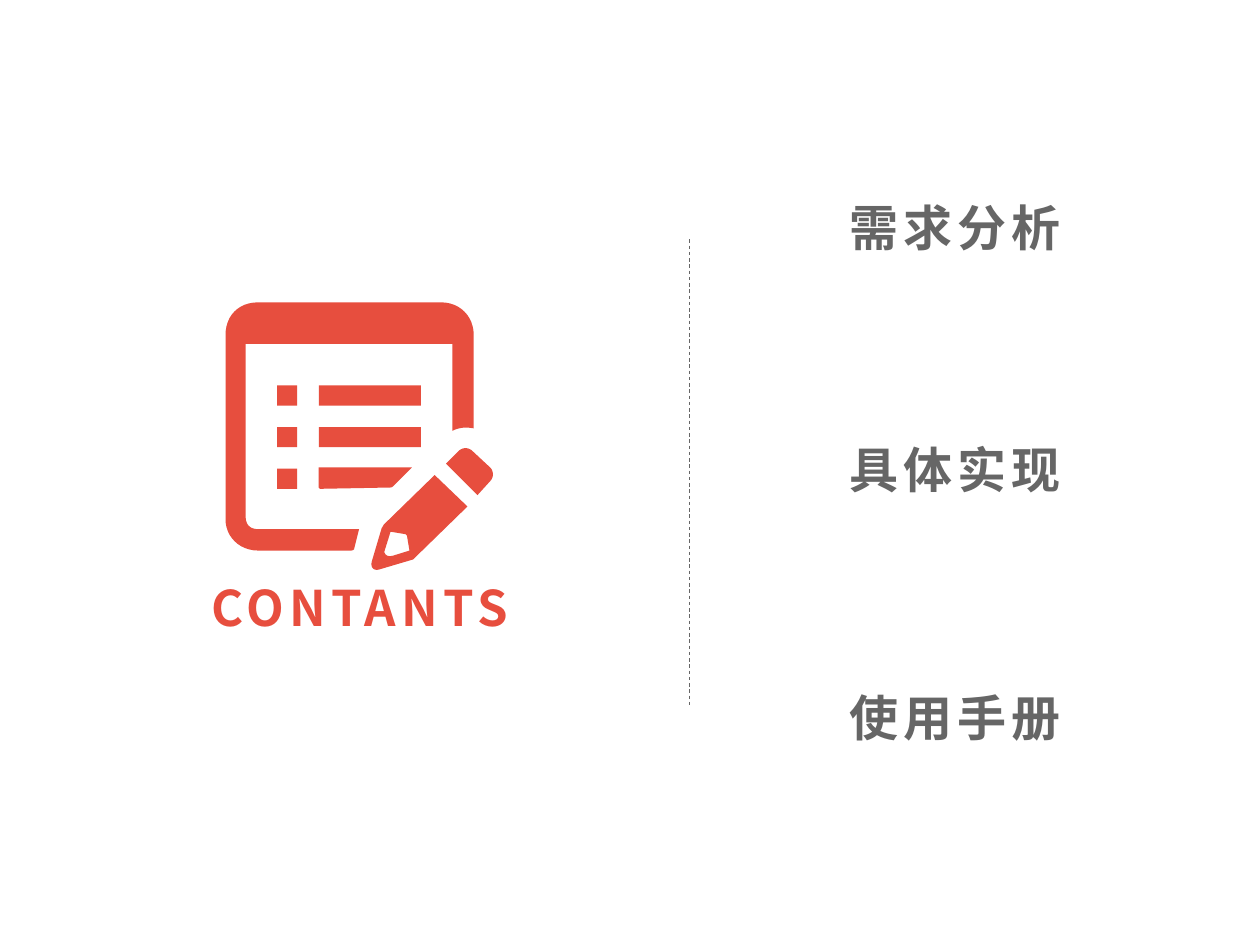
from dataclasses import dataclass

from lxml.etree import SubElement
from pptx import Presentation
from pptx.dml.color import RGBColor
from pptx.enum.dml import MSO_LINE
from pptx.enum.shapes import MSO_CONNECTOR, MSO_SHAPE
from pptx.enum.text import MSO_ANCHOR, MSO_AUTO_SIZE, PP_ALIGN
from pptx.oxml.ns import qn
from pptx.util import Inches, Pt

RED = RGBColor(0xE7, 0x4E, 0x3E)
GRAY = RGBColor(0x66, 0x66, 0x66)
FONT = "Noto Sans CJK SC"
CURVE_STEPS = 12

Point = tuple[float, float]


@dataclass(frozen=True)
class Curve:
    """Cubic curve from the preceding point to end."""
    control_1: Point
    control_2: Point
    end: Point


@dataclass(frozen=True)
class Topic:
    text: str
    top: float


@dataclass(frozen=True)
class ListRow:
    top: float
    has_full_bar: bool


Outline = list[Point | Curve]

TOPICS = [Topic("需求分析", 1.52), Topic("具体实现", 3.44), Topic("使用手册", 5.41)]
LIST_ROWS = [ListRow(3.06, True), ListRow(3.39, True), ListRow(3.72, False)]

PAGE_FRAME: Outline = [
    (2.85, 4.2), (2.81, 4.36), Curve((2.8, 4.37), (2.79, 4.37), (2.78, 4.37)),
    (2.05, 4.37), Curve((1.9, 4.37), (1.79, 4.26), (1.79, 4.12)),
    (1.79, 2.66), Curve((1.79, 2.51), (1.89, 2.4), (2.05, 2.4)),
    (3.5, 2.4), Curve((3.65, 2.4), (3.76, 2.51), (3.76, 2.66)),
    (3.76, 3.4), Curve((3.7, 3.39), (3.65, 3.39), (3.59, 3.42)),
    (3.59, 2.73), (1.95, 2.73),
    (1.95, 4.1), Curve((1.95, 4.16), (1.98, 4.2), (2.05, 4.2)),
]
PENCIL_BODY: Outline = [
    (3.45, 3.77), (3.71, 4.02), (3.31, 4.41), Curve((3.3, 4.42), (3.29, 4.43), (3.28, 4.44)),
    (3.01, 4.52), Curve((2.97, 4.53), (2.94, 4.51), (2.95, 4.46)),
    (3.03, 4.19), Curve((3.04, 4.18), (3.04, 4.17), (3.05, 4.16)),
]
PENCIL_TIP: Outline = [
    (3.1, 4.22), (3.05, 4.38), Curve((3.06, 4.41), (3.08, 4.42), (3.12, 4.41)),
    (3.25, 4.37), (3.23, 4.25), (3.22, 4.24),
]
ERASER: Outline = [
    (3.54, 3.68), (3.64, 3.58), Curve((3.67, 3.55), (3.72, 3.55), (3.75, 3.58)),
    (3.89, 3.71), Curve((3.92, 3.74), (3.92, 3.79), (3.89, 3.82)), (3.79, 3.93),
]
CUT_BAR: Outline = [
    (2.53, 3.71), (3.27, 3.71), (3.12, 3.86), Curve((3.11, 3.87), (3.1, 3.87), (3.09, 3.87)),
    (2.54, 3.88), (2.53, 3.87),
]


def flatten(outline: Outline) -> list[Point]:
    """Turn an outline into points in EMU, with curves as short segments."""
    points: list[Point] = []
    for part in outline:
        if not isinstance(part, Curve):
            points.append(part)
            continue
        corners = (points[-1], part.control_1, part.control_2, part.end)
        for step in range(1, CURVE_STEPS + 1):
            t = step / CURVE_STEPS
            weights = ((1 - t) ** 3, 3 * t * (1 - t) ** 2, 3 * t * t * (1 - t), t ** 3)
            points.append((
                sum(w * x for w, (x, _) in zip(weights, corners)),
                sum(w * y for w, (_, y) in zip(weights, corners)),
            ))
    return [(Inches(x), Inches(y)) for x, y in points]


def paint(shape) -> None:
    shape.shadow.inherit = False
    shape.fill.solid()
    shape.fill.fore_color.rgb = RED
    shape.line.fill.background()


def draw_outline(icon, *outlines: Outline) -> None:
    """Draw one filled shape; outlines after the first are holes."""
    first, *holes = [flatten(outline) for outline in outlines]
    builder = icon.shapes.build_freeform(*first[0])
    builder.add_line_segments(first[1:], close=True)
    for hole in holes:
        builder.move_to(*hole[0])
        builder.add_line_segments(hole[1:], close=True)
    paint(builder.convert_to_shape())


def draw_bar(icon, left: float, top: float, width: float) -> None:
    paint(icon.shapes.add_shape(
        MSO_SHAPE.RECTANGLE, Inches(left), Inches(top), Inches(width), Inches(0.16)))


def write_label(frame, text: str, color: RGBColor, align: PP_ALIGN) -> None:
    frame.word_wrap = True
    frame.auto_size = MSO_AUTO_SIZE.SHAPE_TO_FIT_TEXT
    frame.vertical_anchor = MSO_ANCHOR.TOP
    paragraph = frame.paragraphs[0]
    paragraph.alignment = align
    run = paragraph.add_run()
    run.text = text
    run.font.size = Pt(28)
    run.font.bold = True
    run.font.name = FONT
    run.font.color.rgb = color
    properties = run.font._element
    properties.set("spc", "300")
    SubElement(properties, qn("a:ea")).set("typeface", FONT)


def draw_divider(slide) -> None:
    divider = slide.shapes.add_connector(
        MSO_CONNECTOR.STRAIGHT, Inches(5.47), Inches(1.9), Inches(5.47), Inches(5.6))
    divider.line.color.rgb = GRAY
    divider.line.width = Pt(0.5)
    divider.line.dash_style = MSO_LINE.DASH
    SubElement(divider._element.spPr, qn("a:effectLst"))


def draw_icon(slide) -> None:
    icon = slide.shapes.add_group_shape()
    draw_outline(icon, PAGE_FRAME)
    draw_outline(icon, PENCIL_BODY, PENCIL_TIP)
    draw_outline(icon, ERASER)
    draw_outline(icon, CUT_BAR)
    for row in LIST_ROWS:
        draw_bar(icon, 2.2, row.top, 0.16)
        if row.has_full_bar:
            draw_bar(icon, 2.53, row.top, 0.81)


def main() -> None:
    deck = Presentation()
    deck.slide_width, deck.slide_height = Inches(10), Inches(7.5)
    slide = deck.slides.add_slide(deck.slide_layouts[5])

    heading = slide.shapes.title
    heading.left, heading.top = Inches(1.4), Inches(4.53)
    heading.width, heading.height = Inches(2.91), Inches(0.57)
    write_label(heading.text_frame, "CONTANTS", RED, PP_ALIGN.CENTER)

    draw_divider(slide)
    for topic in TOPICS:
        box = slide.shapes.add_textbox(
            Inches(6.64), Inches(topic.top), Inches(1.96), Inches(0.57))
        write_label(box.text_frame, topic.text, GRAY, PP_ALIGN.LEFT)
    draw_icon(slide)
    deck.save("out.pptx")


if __name__ == "__main__":
    main()
